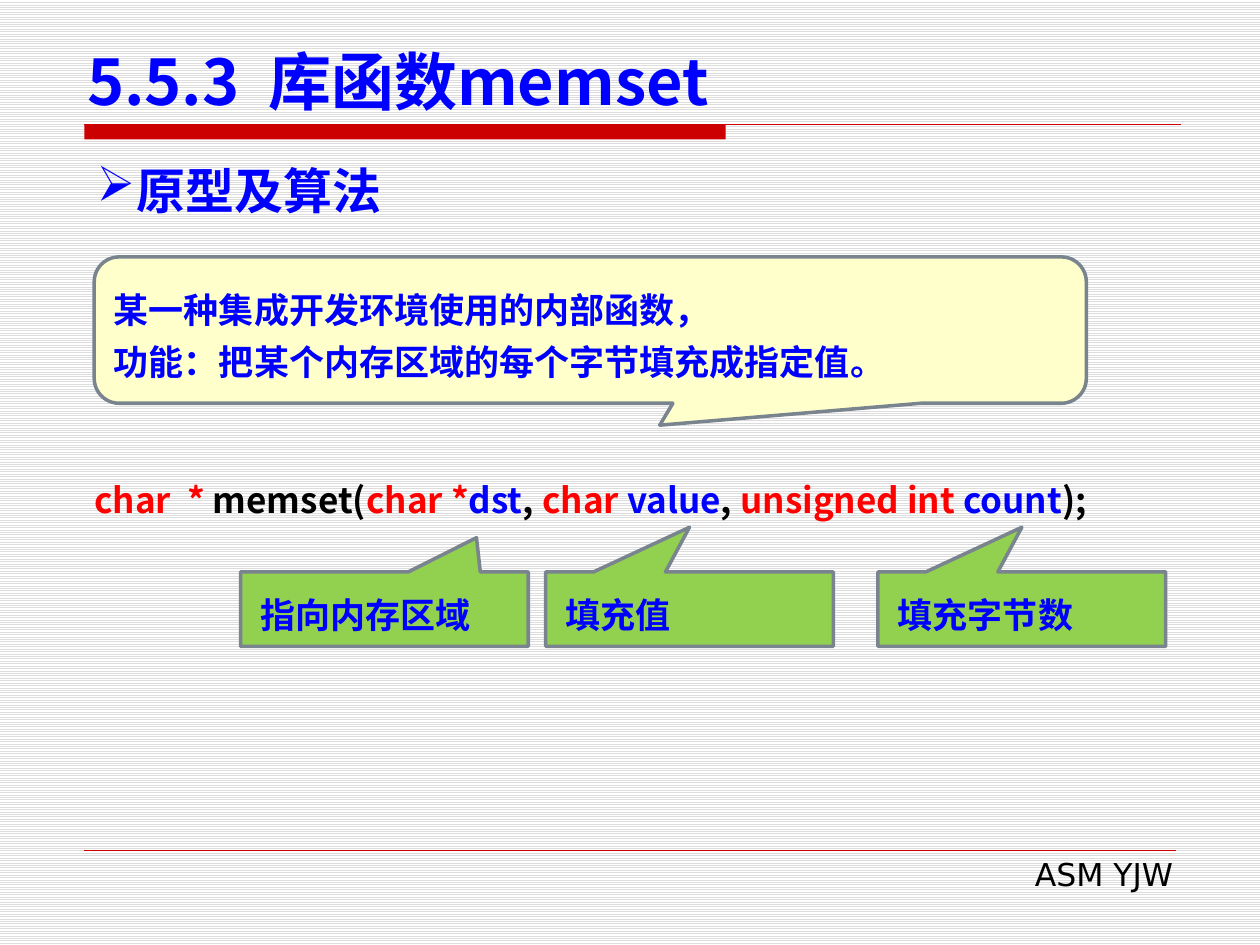
from lxml import etree
from pptx import Presentation, util as u
from pptx.dml.color import RGBColor
from pptx.enum import dml, shapes, text
from pptx.oxml import ns

RED = RGBColor(0xFF, 0, 0)
RULE = RGBColor(0xCC, 0, 0)
BLUE = RGBColor(0, 0, 0xFF)
BLACK = RGBColor(0, 0, 0)
WHITE = RGBColor(0xFF, 0xFF, 0xFF)
GREY = RGBColor(0xDD, 0xDD, 0xDD)
EDGE = RGBColor(0x79, 0x84, 0x8F)
CREAM = RGBColor(0xFF, 0xFF, 0xCC)
GREEN = RGBColor(0x92, 0xD0, 0x50)
HAN = "Noto Sans CJK SC"
SANS = "DejaVu Sans"
SHAPE = shapes.MSO_SHAPE
ALIGN = text.PP_ALIGN
ANCHOR = text.MSO_ANCHOR


def write(frame, lines, size=20, font=HAN, color=BLUE, bold=True,
          align=ALIGN.LEFT, anchor=ANCHOR.TOP, pitch=None, bullet=None):
    """Fill a frame; a line is a string or a list of (string, colour) runs."""
    frame.word_wrap = True
    frame.vertical_anchor = anchor
    for i, line in enumerate(lines):
        para = frame.paragraphs[0] if i == 0 else frame.add_paragraph()
        para.alignment = align
        if pitch:
            para.line_spacing = u.Pt(pitch)
        if bullet:
            props = para._p.get_or_add_pPr()
            props.set("marL", str(u.Cm(0.8)))
            props.set("indent", str(-u.Cm(0.8)))
            etree.SubElement(props, ns.qn("a:buChar"), char=bullet)
        for part, tint in [(line, color)] if isinstance(line, str) else line:
            run = para.add_run()
            run.text = part
            run.font.size = u.Pt(size)
            run.font.bold = bold
            run.font.name = font
            run.font.color.rgb = tint
            etree.SubElement(run._r.get_or_add_rPr(), ns.qn("a:ea"), typeface=HAN)


class Page:
    """The current slide and the style of its elements."""
    edge = u.Pt(2)

    def __init__(self, deck):
        self.slide = deck.slides.add_slide(deck.slide_layouts[5])
        self.items = self.slide.shapes
        fill = self.slide.background.fill
        fill.patterned()
        fill.pattern = dml.MSO_PATTERN.LIGHT_HORIZONTAL
        fill.fore_color.rgb = GREY
        fill.back_color.rgb = WHITE

    def title(self, words, box):
        item = self.items.title
        item.left, item.top, item.width, item.height = map(u.Cm, box)
        write(item.text_frame, [words], size=36, anchor=ANCHOR.BOTTOM)

    def text(self, lines, box, **style):
        item = self.items.add_textbox(*map(u.Cm, box))
        write(item.text_frame, lines, **style)

    def rule(self, left, right, top, width):
        line = self.items.add_connector(
            shapes.MSO_CONNECTOR.STRAIGHT, *map(u.Cm, (left, top, right, top)))
        line.line.color.rgb = RULE
        line.line.width = u.Pt(width)
        etree.SubElement(line._element.spPr, ns.qn("a:effectLst"))

    def shape(self, kind, box, fill, edge=None):
        item = self.items.add_shape(kind, *map(u.Cm, box))
        item.shadow.inherit = False
        item.fill.solid()
        item.fill.fore_color.rgb = fill
        if edge is None:
            item.line.fill.background()
        else:
            item.line.color.rgb = edge
            item.line.width = self.edge
        return item

    def callout(self, kind, lines, box, fill, tip, inset=0.25, **style):
        item = self.shape(kind, box, fill, EDGE)
        for i, value in enumerate(tip):
            item.adjustments[i] = value
        item.text_frame.margin_left = u.Cm(inset)
        write(item.text_frame, lines, anchor=ANCHOR.MIDDLE, pitch=30, **style)


def main():
    deck = Presentation()
    deck.slide_width, deck.slide_height = u.Cm(25.4), u.Cm(19.05)
    page = Page(deck)

    # Heading with its red bar, and the footer
    page.shape(SHAPE.RECTANGLE, (1.7, 2.51, 12.93, 0.3), RULE)
    page.rule(1.7, 23.8, 2.51, 0.75)
    page.rule(1.7, 23.7, 17.15, 0.25)
    page.text(["ASM YJW"], (9.7, 17.12, 14.2, 1.02), size=18, font=SANS,
              color=BLACK, bold=False, align=ALIGN.RIGHT)
    page.title("5.5.3  库函数memset", (1.5, 0.71, 23.01, 1.8))

    # Topic and what the function does
    page.text(["原型及算法"], (1.7, 3.12, 22, 1.45), size=28, font=SANS,
              align=ALIGN.JUSTIFY, bullet="➢")
    page.callout(SHAPE.ROUNDED_RECTANGULAR_CALLOUT,
                 ["某一种集成开发环境使用的内部函数，",
                  "功能：把某个内存区域的每个字节填充成指定值。"],
                 (1.9, 5.18, 20, 2.95), CREAM, (0.07, 0.65, 0.17))

    # Prototype
    page.text([[("char  * ", RED), ("memset(", BLACK),
                ("char *", RED), ("dst", BLUE), (", ", BLACK),
                ("char ", RED), ("value", BLUE), (", ", BLACK),
                ("unsigned int ", RED), ("count", BLUE), (");", BLACK)]],
              (1.65, 9.53, 23.01, 1.12))

    # One note for each parameter
    for note, left, tip in (("指向内存区域", 4.85, (0.32, -0.96)),
                            ("填充值", 11, (0, -1.1)),
                            ("填充字节数", 17.7, (0, -1.1))):
        page.callout(SHAPE.RECTANGULAR_CALLOUT, [note],
                     (left, 11.53, 5.8, 1.5), GREEN, tip, inset=0.4, font=SANS)

    deck.save("out.pptx")


if __name__ == "__main__":
    main()
